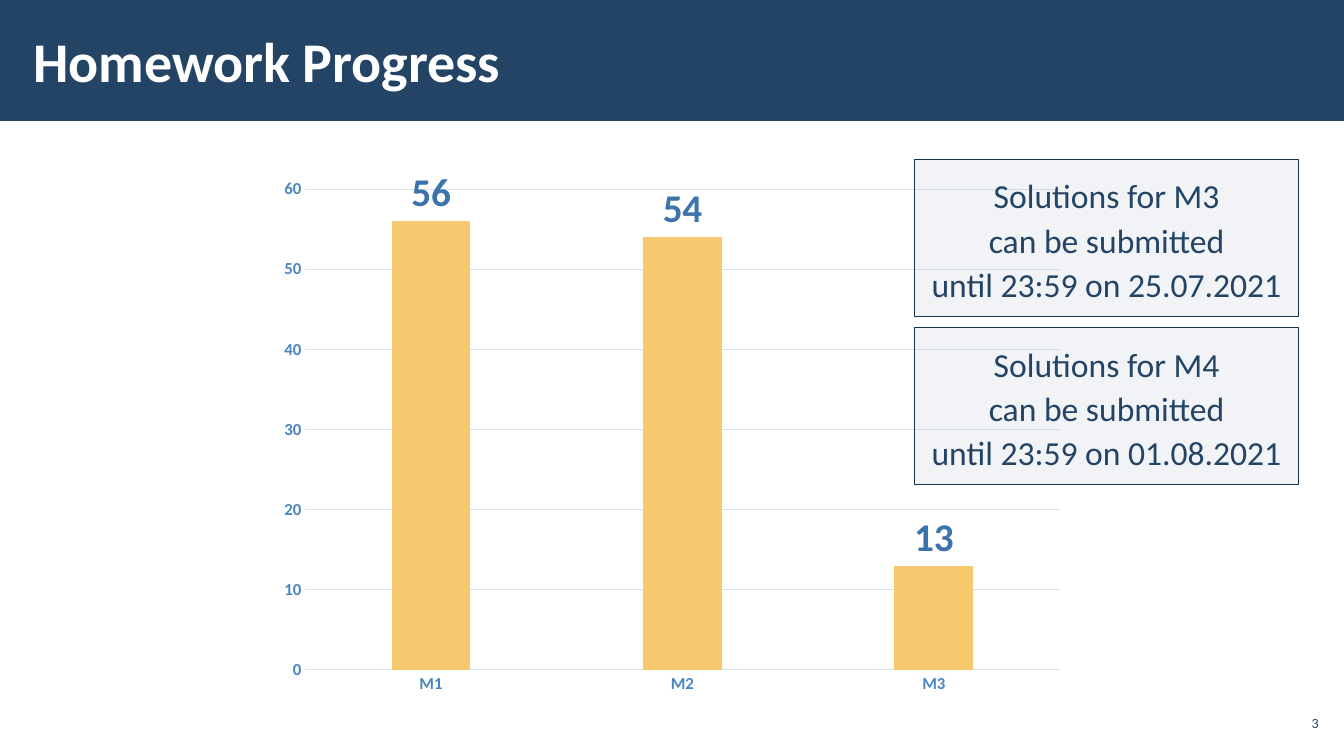
from lxml import etree
from pptx import Presentation
from pptx import util as u
from pptx.chart import data as chart_data
from pptx.dml.color import RGBColor
from pptx.enum import chart as chart_enum
from pptx.enum import shapes, text
from pptx.oxml.ns import qn

WIDTH, HEIGHT = u.Inches(13.33), u.Inches(7.5)
FONT = "Calibri"
COLORS = {
    "navy": "234465",
    "white": "FFFFFF",
    "bar": "F7C86D",
    "axis": "4A85C0",
    "label": "3B73AA",
    "grid": "D5E3F1",
    "note": "ADB4C3",
    "border": "1A334C",
}
HOMEWORK = {"M1": 56, "M2": 54, "M3": 13}
DEADLINES = {"M3": "25.07.2021", "M4": "01.08.2021"}


def color(name):
    return RGBColor.from_string(COLORS[name])


def inches(*lengths):
    return [u.Inches(length) for length in lengths]


def format_font(font, size, color_name, bold=False):
    font.name, font.size, font.bold = FONT, u.Pt(size), bold
    font.color.rgb = color(color_name)


def write_text(shape, lines, size=24, color_name="navy", bold=False,
               align=text.PP_ALIGN.LEFT, spacing=1.0, insets=(0.12, 0.04),
               wrap=True):
    """Fill a shape with one paragraph per line; insets are (sides, top and bottom)."""
    frame = shape.text_frame
    frame.text = "\n".join(lines)
    frame.word_wrap = wrap
    frame.vertical_anchor = text.MSO_ANCHOR.MIDDLE
    frame.margin_left = frame.margin_right = u.Inches(insets[0])
    frame.margin_top = frame.margin_bottom = u.Inches(insets[1])
    for paragraph in frame.paragraphs:
        paragraph.alignment = align
        paragraph.line_spacing = spacing
        paragraph.space_before = u.Pt(0)
        for run in paragraph.runs:
            format_font(run.font, size, color_name, bold)


def add_rectangle(slide, box, fill, opacity=100, border=None):
    rectangle = slide.shapes.add_shape(shapes.MSO_SHAPE.RECTANGLE, *box)
    rectangle.shadow.inherit = False
    rectangle.fill.solid()
    rectangle.fill.fore_color.rgb = color(fill)
    if opacity < 100:
        fill_color = rectangle.element.spPr.find(qn("a:solidFill"))[0]
        etree.SubElement(fill_color, qn("a:alpha"), val=str(opacity * 1000))
    if border:
        rectangle.line.color.rgb = color(border)
        rectangle.line.width = u.Pt(1)
    else:
        rectangle.line.fill.background()
    return rectangle


def add_header(slide, heading):
    title = slide.shapes.title
    band = add_rectangle(slide, (0, 0, WIDTH, int(HEIGHT * 0.16)), "navy")
    title.element.addprevious(band.element)
    title.left, title.top, title.width, title.height = inches(0.21, 0.11, 10.4, 0.97)
    write_text(title, [heading], size=40, color_name="white", bold=True)
    title.text_frame.auto_size = text.MSO_AUTO_SIZE.NONE


def add_page_number(slide, number):
    box = slide.shapes.add_textbox(*inches(12.65, 7, 0.47, 0.34))
    write_text(box, [str(number)], size=10, align=text.PP_ALIGN.RIGHT,
               insets=(0.04, 0.04))


def style_line(line, color_name):
    line.color.rgb = color(color_name)
    line.width = u.Pt(0.75)


def add_homework_chart(slide):
    values = chart_data.CategoryChartData()
    values.categories = list(HOMEWORK)
    values.add_series("Series 1", list(HOMEWORK.values()))
    chart = slide.shapes.add_chart(
        chart_enum.XL_CHART_TYPE.COLUMN_CLUSTERED,
        *inches(2.66, 1.67, 8.01, 5.32), values).chart
    chart.has_legend = chart.has_title = False
    format_font(chart.font, 10, "navy")

    for axis in (chart.category_axis, chart.value_axis):
        axis.major_tick_mark = axis.minor_tick_mark = chart_enum.XL_TICK_MARK.NONE
        format_font(axis.tick_labels.font, 12, "axis", bold=True)
    style_line(chart.category_axis.format.line, "grid")
    value_axis = chart.value_axis
    value_axis.minimum_scale, value_axis.maximum_scale = 0, 60
    value_axis.major_unit = 10
    value_axis.format.line.fill.background()
    style_line(value_axis.major_gridlines.format.line, "grid")

    plot = chart.plots[0]
    plot.gap_width, plot.overlap = 219, -27
    plot.vary_by_categories = False
    bars = plot.series[0]
    bars.format.fill.solid()
    bars.format.fill.fore_color.rgb = color("bar")
    labels = bars.data_labels
    labels.show_value = True
    labels.position = chart_enum.XL_LABEL_POSITION.OUTSIDE_END
    format_font(labels.font, 28, "label", bold=True)


def add_deadline(slide, row, homework, date):
    box = inches(9.07, 1.58 + row * 1.67, 3.81, 1.56)
    note = add_rectangle(slide, box, "note", opacity=15, border="border")
    lines = [f"Solutions for {homework}", "can be submitted", f"until 23:59 on {date}"]
    write_text(note, lines, align=text.PP_ALIGN.CENTER, spacing=1.1,
               insets=(0.16, 0.12), wrap=False)


def main():
    presentation = Presentation()
    presentation.slide_width, presentation.slide_height = WIDTH, HEIGHT
    slide = presentation.slides.add_slide(presentation.slide_layouts[5])
    add_header(slide, "Homework Progress")
    add_page_number(slide, 3)
    add_homework_chart(slide)
    for row, (homework, date) in enumerate(DEADLINES.items()):
        add_deadline(slide, row, homework, date)
    presentation.save("out.pptx")


if __name__ == "__main__":
    main()
